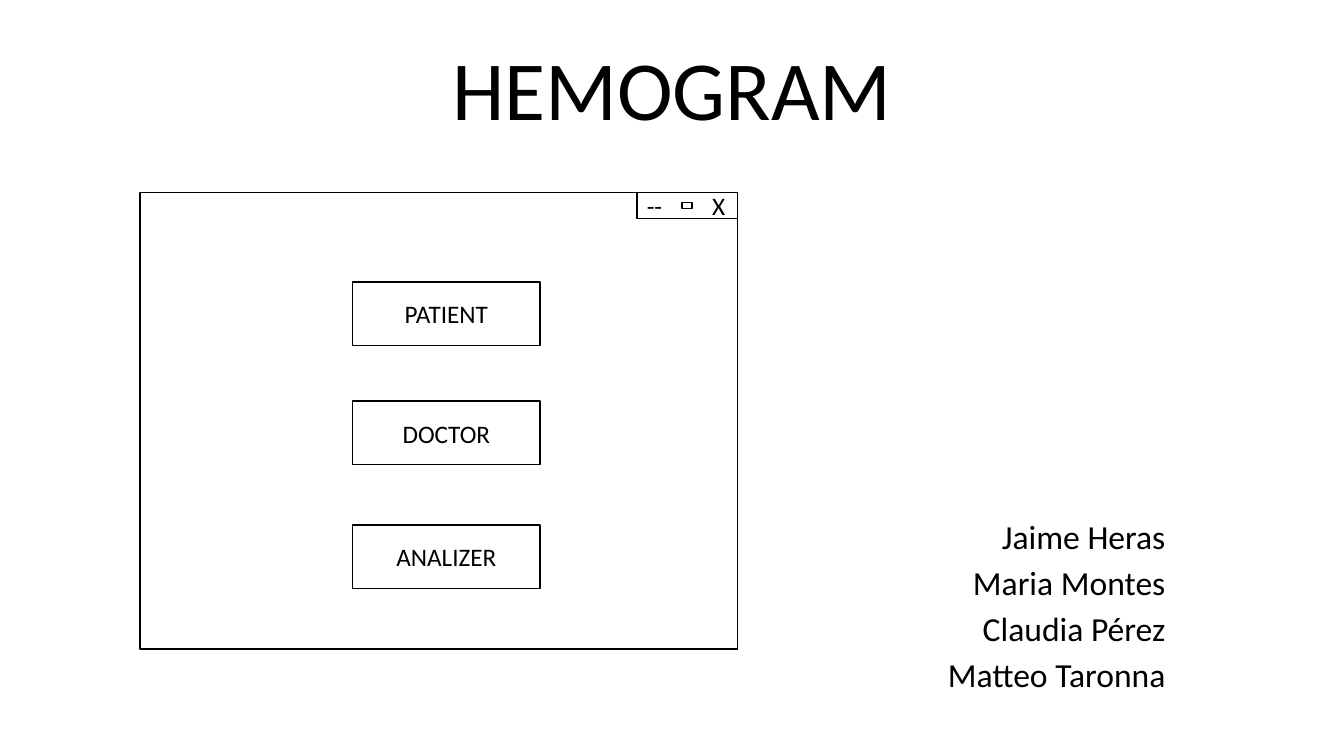
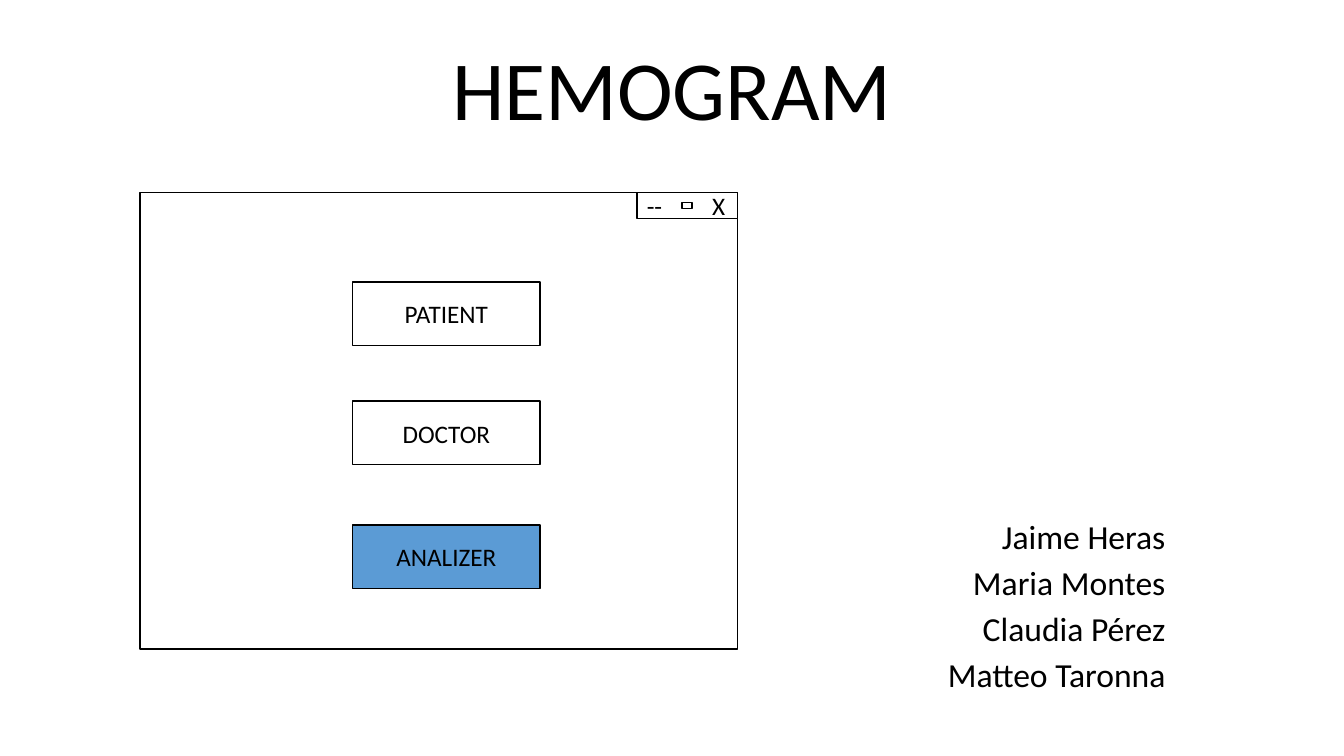
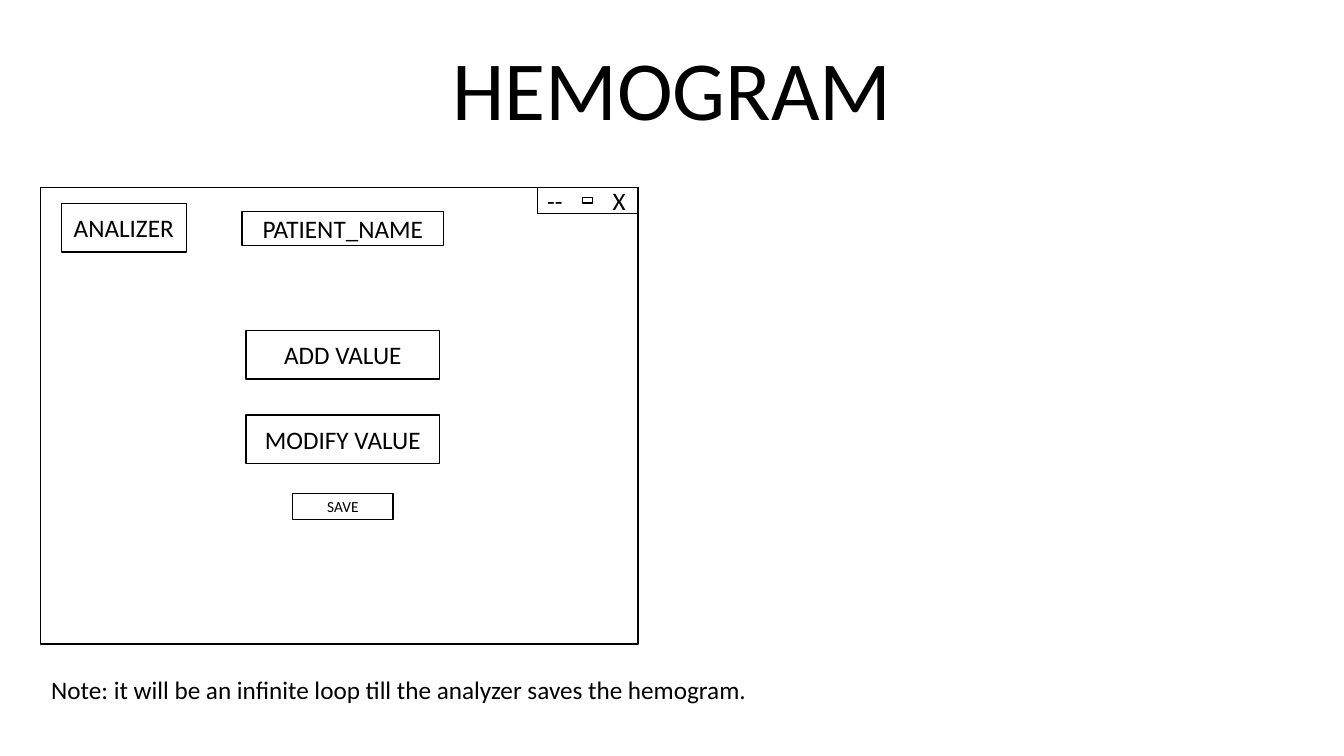
from lxml import etree
from pptx import Presentation
from pptx.dml.color import RGBColor
from pptx.enum.shapes import MSO_SHAPE
from pptx.enum.text import MSO_ANCHOR, PP_ALIGN
from pptx.oxml.ns import qn
from pptx.util import Cm, Pt

BLACK = RGBColor(0x00, 0x00, 0x00)
WHITE = RGBColor(0xFF, 0xFF, 0xFF)
BLUE = RGBColor(0x5B, 0x9B, 0xD5)
FONT = "Calibri"
RECT = MSO_SHAPE.RECTANGLE
LEFT, CENTER, RIGHT = PP_ALIGN.LEFT, PP_ALIGN.CENTER, PP_ALIGN.RIGHT
TOP, MIDDLE, BOTTOM = MSO_ANCHOR.TOP, MSO_ANCHOR.MIDDLE, MSO_ANCHOR.BOTTOM

TITLE = "HEMOGRAM"
AUTHORS = ["Jaime Heras", "Maria Montes", "Claudia Pérez", "Matteo Taronna"]
NOTE = "Note: it will be an infinite loop till the analyzer saves the hemogram."

# Lengths in cm; buttons are (label, centre x, top, width, height, text size),
# measured from the corner of their window.
WINDOW_W, WINDOW_H = 15.06, 11.51
CONTROLS_W, CONTROLS_H = 2.54, 0.66
CLOSE_TAB = 1.65
MENU_BUTTONS = [
    (label, 7.72, top, 4.72, 1.6, 18)
    for label, top in [("PATIENT", 2.26), ("DOCTOR", 5.26), ("ANALIZER", 8.38)]
]
ANALIZER_BUTTONS = [
    ("ANALIZER", 2.1, 0.41, 3.15, 1.22, 18),
    ("ADD VALUE", 7.62, 3.61, 4.88, 1.22, 18),
    ("MODIFY VALUE", 7.62, 5.74, 4.88, 1.22, 18),
    ("SAVE", 7.62, 7.72, 2.54, 0.66, 11),
    ("PATIENT_NAME", 7.62, 0.61, 5.08, 0.86, 18),
]
SLIDES = [
    {"window": (3.53, 4.85), "buttons": MENU_BUTTONS, "authors": AUTHORS},
    {"window": (3.53, 4.85), "buttons": MENU_BUTTONS, "authors": AUTHORS,
     "selected": "ANALIZER"},
    {"window": (1.02, 4.72), "buttons": ANALIZER_BUTTONS, "note": NOTE},
]


def write(shape, lines, size, align=LEFT, anchor=TOP, spacing=None, before=None):
    tf = shape.text_frame
    tf.word_wrap = True
    tf.vertical_anchor = anchor
    tf.text = "\n".join(lines)
    for p in tf.paragraphs:
        p.alignment = align
        p.line_spacing = spacing
        p.space_before = before
        for r in p.runs:
            r.font.name = FONT
            r.font.size = Pt(size)
            r.font.color.rgb = BLACK


def add_text(s, box, lines, size, **style):
    write(s.shapes.add_textbox(*map(Cm, box)), lines, size, **style)


def add_box(s, x, y, w, h, fill=WHITE):
    box = s.shapes.add_shape(RECT, Cm(x), Cm(y), Cm(w), Cm(h))
    box.shadow.inherit = False
    box.fill.solid()
    box.fill.fore_color.rgb = fill
    box.line.color.rgb = BLACK
    box.line.width = Pt(1)
    return box


def add_controls(s, x, y):
    """Draw the minimise, maximise and close marks of a window."""
    bar = add_box(s, x, y, CONTROLS_W, CONTROLS_H)
    write(bar, ["--\tX"], 18, anchor=MIDDLE)
    pPr = bar.text_frame.paragraphs[0]._p.get_or_add_pPr()
    tabs = etree.SubElement(pPr, qn("a:tabLst"))
    etree.SubElement(tabs, qn("a:tab"), pos=str(Cm(CLOSE_TAB)), algn="l")
    add_box(s, x + 1.14, y + 0.25, 0.25, 0.15)


def add_window(s, x, y, buttons, selected):
    add_box(s, x, y, WINDOW_W, WINDOW_H)
    add_controls(s, x + WINDOW_W - CONTROLS_W, y)
    for label, center, top, w, h, size in buttons:
        fill = BLUE if label == selected else WHITE
        button = add_box(s, x + center - w / 2, y + top, w, h, fill)
        write(button, [label], size, align=CENTER, anchor=MIDDLE)


def main():
    prs = Presentation()
    prs.slide_width, prs.slide_height = Cm(33.87), Cm(19.05)
    for content in SLIDES:
        s = prs.slides.add_slide(prs.slide_layouts[6])
        add_text(s, (4.24, 0.61, 25.4, 3.02), [TITLE], 60,
                 align=CENTER, anchor=BOTTOM, spacing=0.9)
        if "authors" in content:
            add_text(s, (21.01, 13.06, 8.61, 4.6), content["authors"], 24,
                     align=RIGHT, spacing=0.8, before=Pt(10))
        add_window(s, *content["window"], content["buttons"], content.get("selected"))
        if "note" in content:
            add_text(s, (1.04, 16.87, 32.05, 1.02), [content["note"]], 18)
    prs.save("out.pptx")


if __name__ == "__main__":
    main()
